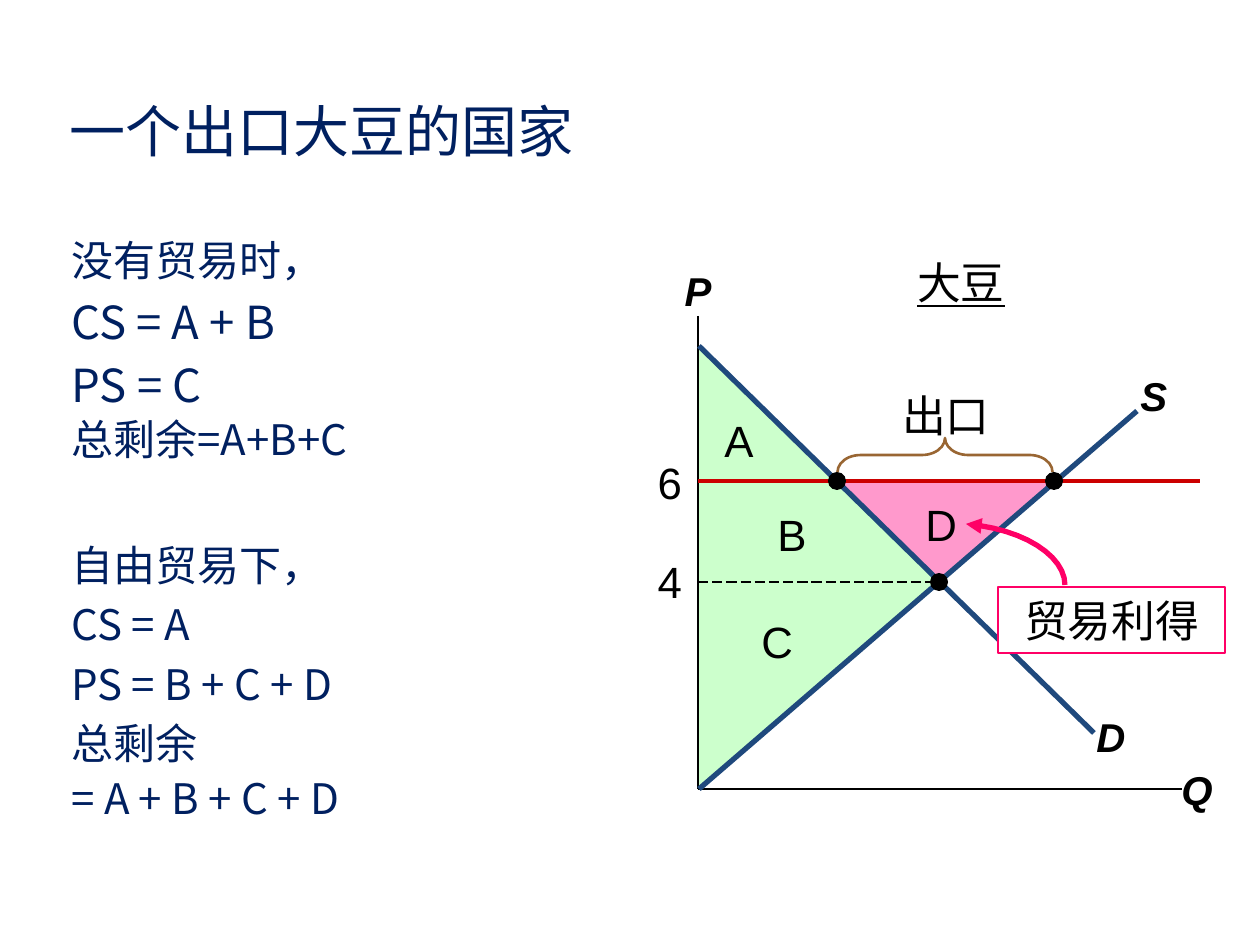
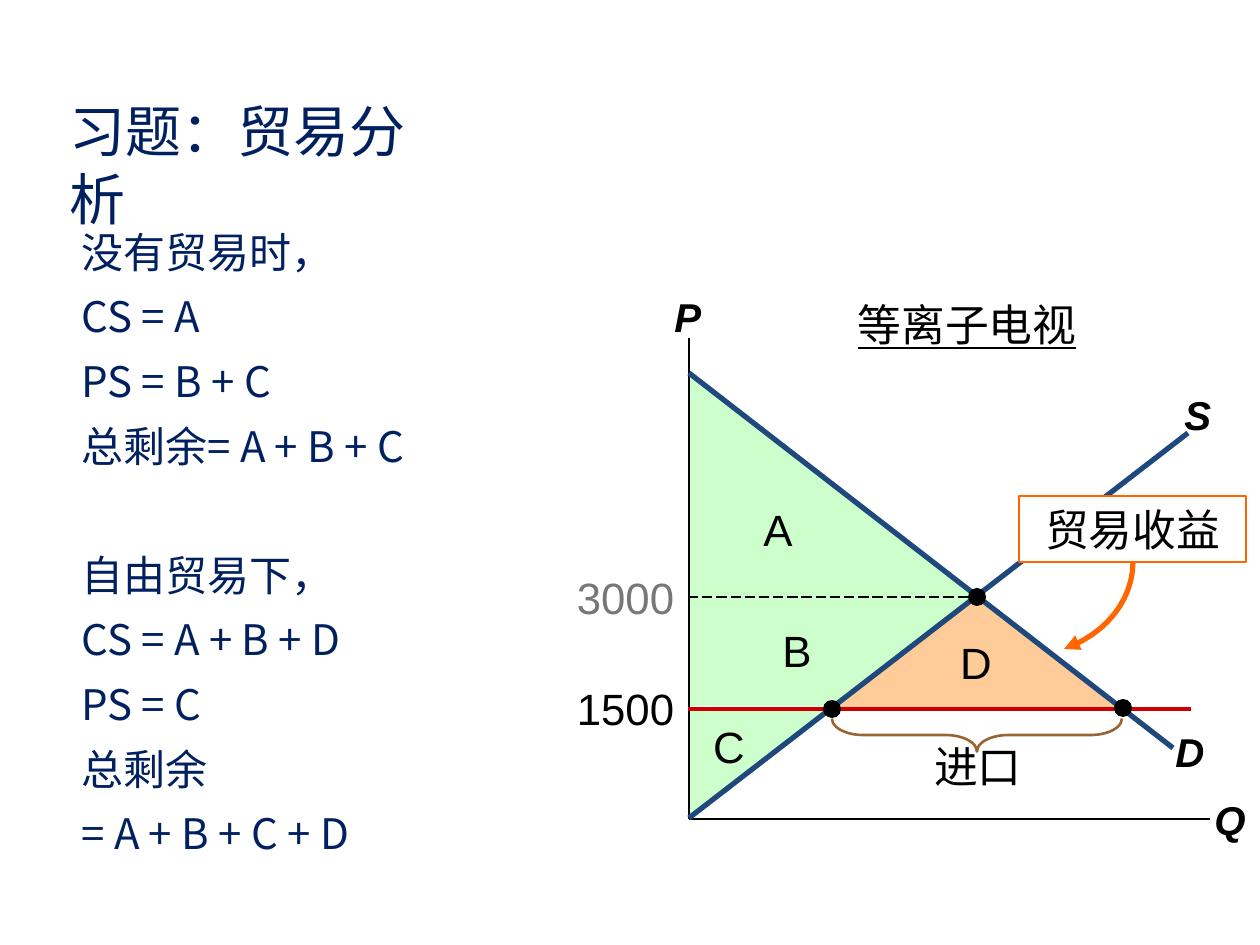
from pptx import Presentation, util as u
from pptx.dml.color import RGBColor
from pptx.enum import dml, shapes, text
from pptx.oxml.ns import qn
from lxml import etree

NAVY = RGBColor(0x00, 0x20, 0x60)
BLACK = RGBColor(0x00, 0x00, 0x00)
GRAY = RGBColor(0x77, 0x77, 0x77)
WHITE = RGBColor(0xFF, 0xFF, 0xFF)
BLUE = RGBColor(0x1F, 0x49, 0x7D)
RED = RGBColor(0xCC, 0x00, 0x00)
BROWN = RGBColor(0x99, 0x66, 0x33)
GREEN = RGBColor(0xCC, 0xFF, 0xCC)
ROSE = RGBColor(0xFF, 0x99, 0xCC)
PEACH = RGBColor(0xFF, 0xCC, 0x99)
PINK = RGBColor(0xFF, 0x00, 0x66)
ORANGE = RGBColor(0xFF, 0x66, 0x00)
HAN, LATIN = "Noto Sans CJK SC", "Arial"
KIND = shapes.MSO_SHAPE
LEFT, MID, RIGHT = text.PP_ALIGN.LEFT, text.PP_ALIGN.CENTER, text.PP_ALIGN.RIGHT

# Body rows: text, size, line pitch and space before, all in points
EXPORT = [
    ("没有贸易时，", 24, 36, 0), ("CS = A + B", 26, 36, 0), ("PS = C", 26, 36, 0),
    ("总剩余=A+B+C", 24, 30, 0), ("自由贸易下，", 24, 36, 36),
    ("CS = A", 24, 31, 3), ("PS = B + C + D", 24, 31, 3),
    ("总剩余\v= A + B + C + D", 24, 31, 3),
]
IMPORT = [(row, 24, 36.9, 0) for row in
          ("没有贸易时，", "CS = A", "PS = B + C", "总剩余= A + B + C")]
IMPORT += [("自由贸易下，", 24, 36.9, 36.9)]
IMPORT += [(row, 24, 36.9, 0) for row in
           ("CS = A + B + D", "PS = C", "总剩余", "= A + B + C + D")]

# Points are x, y; boxes are left, top, width, height; all in px
DATA = [
    dict(
        title="一个出口大豆的国家", wide=534, body=EXPORT, place=(59, 216, 474, 697),
        areas=[(KIND.RIGHT_TRIANGLE, (699, 483, 350, 305), GREEN, True, None),
               (KIND.RIGHT_TRIANGLE, (698, 348, 136, 134), GREEN, False, None),
               (KIND.ISOSCELES_TRIANGLE, (839, 483, 212, 96), ROSE, True, 0.476)],
        top=(698, 316), zero=(698, 789), end=(1182, 789),
        demand=[(699, 346), (1094, 733)], supply=[(699, 789), (1137, 411)],
        world=[(698, 481), (1200, 481)], home=[(698, 582), (939, 582)],
        dots=[(939, 582), (837, 481), (1054, 481)],
        names=dict(P=(698, 290), Q=(1197, 789), D=(1111, 736), S=(1154, 395)),
        letters=dict(A=(739, 440), B=(792, 534), C=(777, 641), D=(941, 524)),
        prices=[("6", 682, 482, BLACK), ("4", 682, 581, BLACK)],
        good=("大豆", 961, 282), gap=("出口", 946, 415),
        brace=(945, 455, 34, 215, 90, 0.678),
        gain=("贸易利得", (998, 587, 227, 66), PINK),
        arrow=[(966, 524), (1024, 529), (1065, 556), (1065, 585)],
    ),
    dict(
        title="习题：贸易分析", wide=417, body=IMPORT, place=(69, 206, 439, 745),
        areas=[(KIND.RIGHT_TRIANGLE, (690, 375, 426, 331), GREEN, False, None),
               (KIND.RIGHT_TRIANGLE, (690, 709, 137, 107), GREEN, True, None),
               (KIND.ISOSCELES_TRIANGLE, (833, 596, 287, 112), PEACH, False, 0.5)],
        top=(689, 338), zero=(689, 819), end=(1210, 819),
        demand=[(689, 373), (1173, 748)], supply=[(689, 818), (1188, 433)],
        world=[(688, 709), (1191, 709)], home=[(688, 597), (978, 597)],
        dots=[(832, 709), (977, 597), (1123, 708)],
        names=dict(P=(688, 316), Q=(1230, 819), D=(1190, 751), S=(1198, 414)),
        letters=dict(A=(778, 529), B=(797, 650), C=(729, 746), D=(976, 662)),
        prices=[("1500", 674, 708, BLACK), ("3000", 674, 597, GRAY)],
        good=("等离子电视", 967, 324), gap=("进口", 978, 766),
        brace=(977, 735, 33, 290, 270, 0.947),
        gain=("贸易收益", (1019, 496, 227, 66), ORANGE),
        arrow=[(1064, 649), (1106, 634), (1133, 600), (1133, 562)],
    ),
]


def px(n):
    return u.Emu(round(n * 914400 / 126))


def style(par, size, color, font, align):
    par.alignment = align
    par.font.size, par.font.name = u.Pt(size), font
    par.font.color.rgb = color


def ink(line, color, width):
    line.color.rgb, line.width = color, u.Pt(width)


def block(slide, rows, box, color=NAVY):
    """Left-set text with a fixed line pitch."""
    frame = slide.shapes.add_textbox(*map(px, box)).text_frame
    frame.word_wrap = True
    for i, (words, size, pitch, before) in enumerate(rows):
        par = frame.paragraphs[0] if i == 0 else frame.add_paragraph()
        par.text = words
        style(par, size, color, HAN, LEFT)
        par.line_spacing, par.space_before = u.Pt(pitch), u.Pt(before)


def label(slide, words, x, y, wide=174, size=25, color=BLACK, align=MID):
    """Text centred on x, y, or ending at x when set right."""
    left = x - wide if align == RIGHT else x - wide / 2
    frame = slide.shapes.add_textbox(*map(px, (left, y - 27, wide, 54))).text_frame
    frame.margin_left = frame.margin_right = frame.margin_top = frame.margin_bottom = 0
    frame.word_wrap = True
    frame.vertical_anchor = text.MSO_ANCHOR.MIDDLE
    par = frame.paragraphs[0]
    par.text = words
    style(par, size, color, LATIN, align)
    return par.font


def shape(slide, kind, box, fill=None):
    item = slide.shapes.add_shape(kind, *map(px, box))
    item.shadow.inherit = False
    if fill is None:
        item.fill.background()
    else:
        item.fill.solid()
        item.fill.fore_color.rgb = fill
    item.line.fill.background()
    return item


def rule(slide, start, stop, color, width):
    item = slide.shapes.add_connector(shapes.MSO_CONNECTOR.STRAIGHT,
                                      *map(px, (*start, *stop)))
    ink(item.line, color, width)
    etree.SubElement(item._element.spPr, qn("a:effectLst"))
    return item.line


def curve(slide, knots, color, steps=12):
    """Cubic curve through sampled points, with its arrowhead at the start."""
    def at(t):
        bias = ((1 - t) ** 3, 3 * t * (1 - t) ** 2, 3 * t * t * (1 - t), t ** 3)
        return [px(sum(b * k[axis] for b, k in zip(bias, knots))) for axis in (0, 1)]
    points = [at(i / steps) for i in range(steps + 1)]
    maker = slide.shapes.build_freeform(*points[0])
    maker.add_line_segments(points[1:], close=False)
    item = maker.convert_to_shape()
    item.shadow.inherit = False
    item.fill.background()
    ink(item.line, color, 3)
    etree.SubElement(item.line._get_or_add_ln(), qn("a:headEnd"), type="triangle")


def graph(slide, d):
    # Surplus areas
    for kind, box, fill, flip, adj in d["areas"]:
        item = shape(slide, kind, box, fill)
        if flip:
            item._element.spPr.xfrm.set("flipV", "1")
        if adj is not None:
            item.adjustments[0] = adj
    # Axes, curves and price lines
    rule(slide, d["top"], d["zero"], BLACK, 0.75)
    rule(slide, d["zero"], d["end"], BLACK, 0.75)
    for key in ("demand", "supply"):
        rule(slide, *d[key], BLUE, 3)
    rule(slide, *d["world"], RED, 2.25)
    rule(slide, *d["home"], BLACK, 0.75).dash_style = dml.MSO_LINE.LONG_DASH
    for x, y in d["dots"]:
        shape(slide, KIND.OVAL, (x - 9, y - 9, 18, 18), BLACK)
    # Labels
    for name, spot in d["names"].items():
        font = label(slide, name, *spot, wide=50, size=23)
        font.bold = font.italic = True
    for name, spot in d["letters"].items():
        label(slide, name, *spot, wide=59)
    for words, x, y, color in d["prices"]:
        label(slide, words, x, y, 133, color=color, align=RIGHT)
    label(slide, *d["good"], wide=263).underline = True
    # Traded quantity
    x, y, wide, high, turn, bend = d["brace"]
    brace = shape(slide, KIND.LEFT_BRACE, (x - wide / 2, y - high / 2, wide, high))
    brace.rotation = turn
    brace.adjustments[0] = bend
    ink(brace.line, BROWN, 1.5)
    label(slide, *d["gap"])
    # Gain from trade
    words, box, color = d["gain"]
    curve(slide, d["arrow"], color)
    note = shape(slide, KIND.RECTANGLE, box, WHITE)
    ink(note.line, color, 0.75)
    frame = note.text_frame
    frame.vertical_anchor = text.MSO_ANCHOR.MIDDLE
    frame.text = words
    style(frame.paragraphs[0], 25, BLACK, LATIN, MID)


def main():
    deck = Presentation()
    deck.slide_width, deck.slide_height = px(1260), px(945)
    for d in DATA:
        slide = deck.slides.add_slide(deck.slide_layouts[6])
        block(slide, [(d["title"], 32, 38.3, 0)], (57, 91, d["wide"], 81))
        block(slide, d["body"], d["place"])
        graph(slide, d)
    deck.save("out.pptx")


if __name__ == "__main__":
    main()
